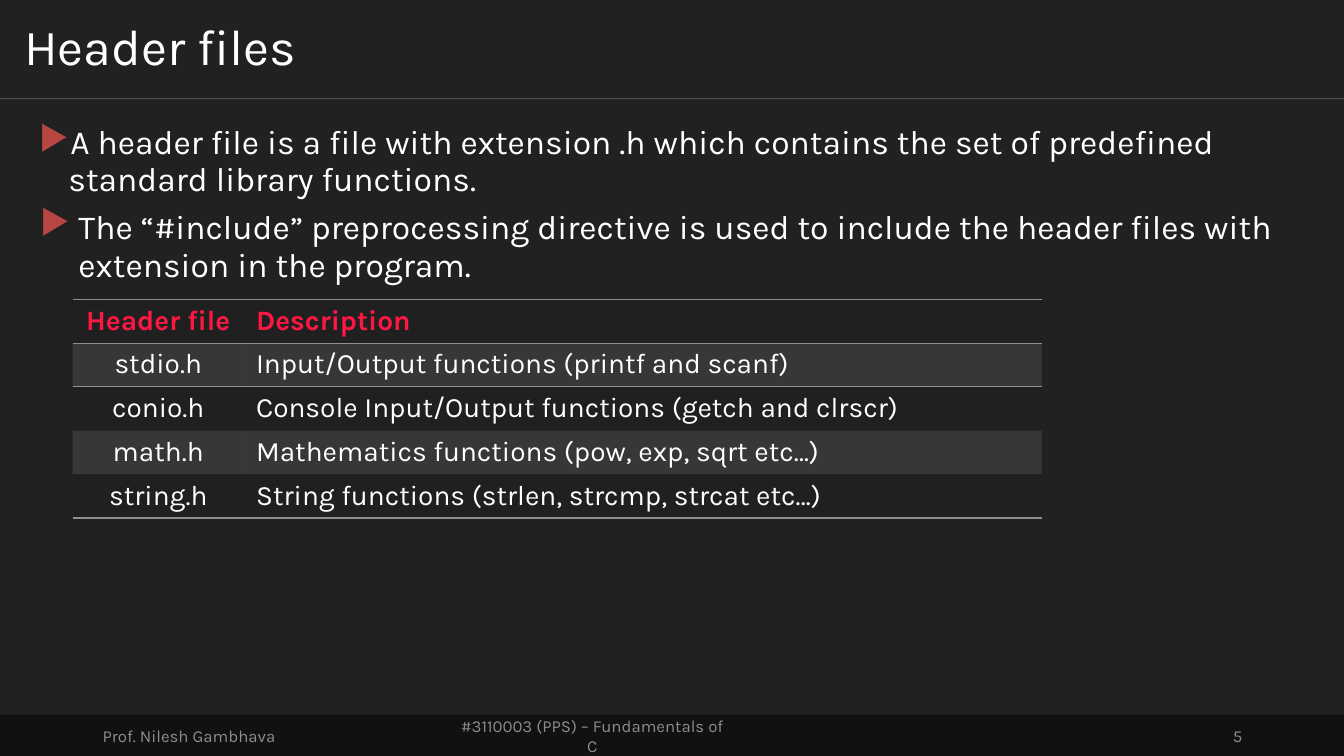
from lxml import etree
from pptx import Presentation
from pptx.dml.color import RGBColor as RGB
from pptx.enum.shapes import MSO_CONNECTOR as Line, MSO_SHAPE as Shape
from pptx.enum.text import MSO_ANCHOR as Anchor, PP_ALIGN as Align
from pptx.oxml.ns import qn
from pptx.util import Inches, Pt

# Content
TITLE = "Header files"
# text, left margin, indent, line spacing, space before, bullet colour
POINTS = [
    ("A header file is a file with extension .h which contains the set of "
     "predefined standard library functions.", 0.29, -0.29, 0.9, 0, "mark"),
    ("The “#include” preprocessing directive is used to include the header "
     "files with extension in the program.", 0.39, -0.38, Pt(27.1), 7.2, "mark2"),
]
ROWS = [
    ("Header file", "Description"),
    ("stdio.h", "Input/Output functions (printf and scanf)"),
    ("conio.h", "Console Input/Output functions (getch and clrscr)"),
    ("math.h", "Mathematics functions (pow, exp, sqrt etc…)"),
    ("string.h", "String functions (strlen, strcmp, strcat etc…)"),
]
COLS = (1.7, 7.91)
RULED = (0, 1, 4)  # rows with a line below
FOOT = [  # text, left, width, alignment
    ("Prof. Nilesh Gambhava", 0.92, 3, Align.LEFT),
    ("#3110003 (PPS) – Fundamentals of C", 4.42, 2.91, Align.CENTER),
    ("5", 9.42, 3, Align.RIGHT),
]
FONT = "Karla"
HEX = {
    "back": "212121", "bar": "111111", "text": "FFFFFF", "foot": "8D8D8D",
    "mark": "B84742", "mark2": "B84642", "head": "FF1744",
    "cell": "202020", "rule": "909090",
}
WIDE, HIGH = 13.33, 7.5
HEAD, BAR = 0.98, 7.09

deck = Presentation()
deck.slide_width, deck.slide_height = Inches(WIDE), Inches(HIGH)
slide = deck.slides.add_slide(deck.slide_layouts[6])
shapes = slide.shapes


def color(name):
    return RGB.from_string(HEX[name])


def style(para, size, name, bold=False):
    font = para.font
    font.name, font.size, font.bold = FONT, Pt(size), bold
    font.color.rgb = color(name)


def fade(fill, percent):
    """Make a solid fill or line colour see-through."""
    tone = fill.find(".//" + qn("a:srgbClr"))
    etree.SubElement(tone, qn("a:alpha"), val=str(percent * 1000))


def block(left, top, width, height, name):
    box = shapes.add_shape(Shape.RECTANGLE, Inches(left), Inches(top),
                           Inches(width), Inches(height))
    box.shadow.inherit = False
    box.fill.solid()
    box.fill.fore_color.rgb = color(name)
    box.line.fill.background()


def textbox(left, top, width, height, anchor):
    box = shapes.add_textbox(Inches(left), Inches(top), Inches(width), Inches(height))
    frame = box.text_frame
    frame.word_wrap = True
    frame.vertical_anchor = anchor
    return frame


def bullet(para, left, indent, name):
    props = para._p.get_or_add_pPr()
    props.set("marL", str(Inches(left)))
    props.set("indent", str(Inches(indent)))
    tint = etree.SubElement(props, qn("a:buClr"))
    etree.SubElement(tint, qn("a:srgbClr"), val=HEX[name])
    etree.SubElement(props, qn("a:buChar"), char="▶")


def border(cell, lined):
    """Draw the sides in lined and clear the other ones."""
    props = cell._tc.get_or_add_tcPr()
    for place, side in enumerate("LRTB"):
        edge = etree.Element(qn("a:ln" + side), w=str(Pt(1)))
        if side in lined:
            fill = etree.SubElement(edge, qn("a:solidFill"))
            etree.SubElement(fill, qn("a:srgbClr"), val=HEX["rule"])
        else:
            etree.SubElement(edge, qn("a:noFill"))
        props.insert(place, edge)


# Backdrop, title rule and footer bar
block(0, 0, WIDE, HIGH, "back")
rule = shapes.add_connector(Line.STRAIGHT, 0, Inches(HEAD), Inches(WIDE), Inches(HEAD))
rule.line.width = Pt(0.5)
rule.line.color.rgb = color("text")
fade(rule._element.spPr, 30)
etree.SubElement(rule._element.spPr, qn("a:effectLst"))
block(0, BAR, WIDE, HIGH - BAR, "bar")

# Footer
for text, left, width, align in FOOT:
    para = textbox(left, 7.1, width, 0.4, Anchor.MIDDLE).paragraphs[0]
    para.text, para.alignment = text, align
    style(para, 12, "foot")

# Title
frame = textbox(0, 0, WIDE, HEAD, Anchor.MIDDLE)
frame.margin_left = frame.margin_right = Inches(0.24)
frame.margin_top = frame.margin_bottom = Inches(0.12)
para = frame.paragraphs[0]
para.text, para.line_spacing = TITLE, 0.9
style(para, 36, "text")

# Bullet points
frame = textbox(0.29, 1.2, 12.76, 5.71, Anchor.TOP)
for num, (text, left, indent, space, before, mark) in enumerate(POINTS):
    para = frame.add_paragraph() if num else frame.paragraphs[0]
    para.text, para.line_spacing = text, space
    para.space_before = Pt(before)
    bullet(para, left, indent, mark)
    style(para, 24, "text")

# Table of header files
table = shapes.add_table(len(ROWS), len(COLS), Inches(0.72), Inches(2.97),
                         Inches(sum(COLS)), Inches(2.17)).table
table.first_row = table.horz_banding = False
for col, width in zip(table.columns, COLS):
    col.width = Inches(width)
for r, row in enumerate(ROWS):
    sides = ("T" if r == 0 or r - 1 in RULED else "") + ("B" if r in RULED else "")
    for c, text in enumerate(row):
        cell = table.cell(r, c)
        cell.margin_left = Inches(0.12 if c else 0)
        cell.margin_top = Inches(0.05)
        cell.margin_right = cell.margin_bottom = 0
        cell.fill.solid()
        cell.fill.fore_color.rgb = color("rule" if r % 2 else "cell")
        if r % 2:
            fade(cell._tc.tcPr, 20)
        border(cell, sides)
        para = cell.text_frame.paragraphs[0]
        para.text = text
        para.alignment = Align.LEFT if c else Align.CENTER
        style(para, 20, "text" if r else "head", r == 0)

deck.save("out.pptx")
